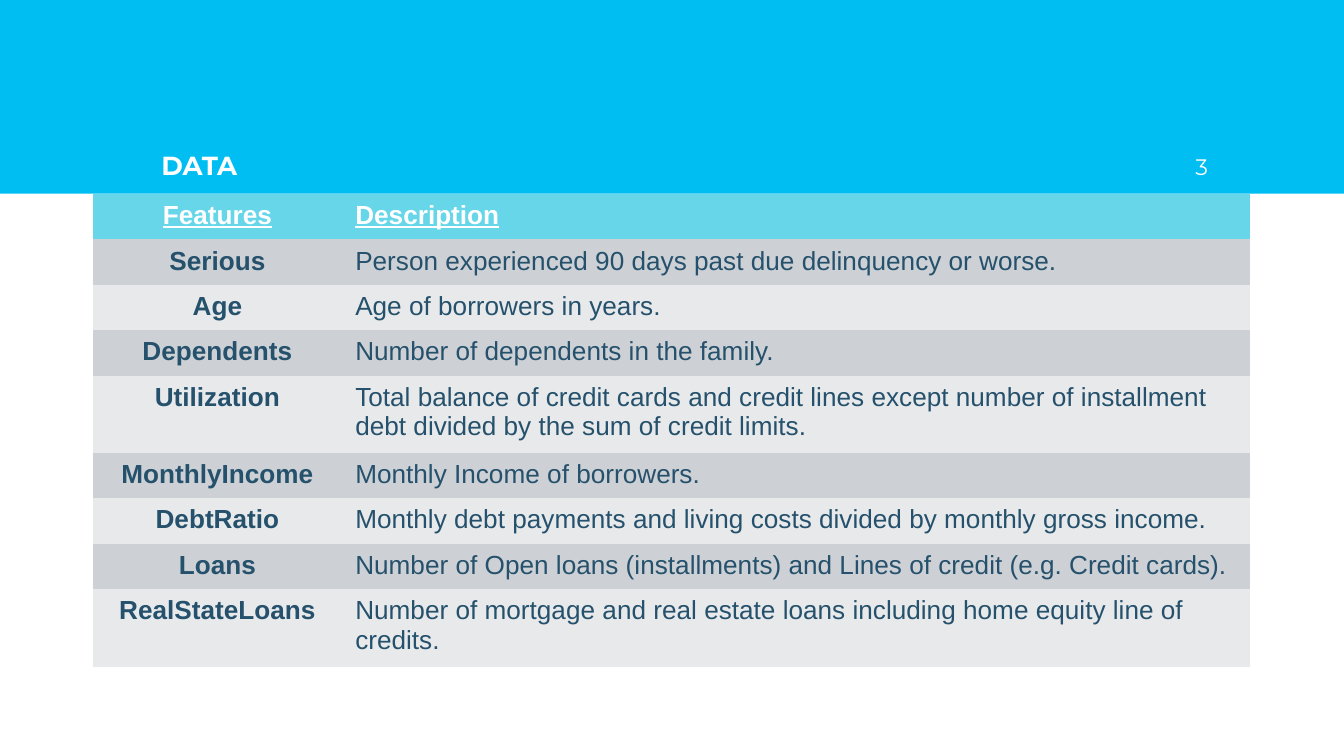
from pptx import Presentation
from pptx.dml.color import RGBColor
from pptx.enum.shapes import MSO_SHAPE
from pptx.enum.text import MSO_ANCHOR, PP_ALIGN
from pptx.oxml.ns import qn
from pptx.util import Cm, Pt

RECTANGLE = MSO_SHAPE.RECTANGLE
TOP, MIDDLE, BOTTOM = MSO_ANCHOR.TOP, MSO_ANCHOR.MIDDLE, MSO_ANCHOR.BOTTOM
LEFT, CENTER, RIGHT = PP_ALIGN.LEFT, PP_ALIGN.CENTER, PP_ALIGN.RIGHT

WHITE = RGBColor(0xFF, 0xFF, 0xFF)
SKY_BLUE = RGBColor(0x00, 0xBE, 0xF2)
HEADER_TEAL = RGBColor(0x67, 0xD6, 0xE9)
NAVY = RGBColor(0x25, 0x51, 0x6C)
BANDS = (RGBColor(0xCD, 0xD0, 0xD4), RGBColor(0xE8, 0xE9, 0xEB))

PLAIN_TABLE_STYLE = "{2D5ABB26-0587-4C30-8999-92F81FD0307C}"
BANNER_HEIGHT = Cm(3.66)
COLUMN_WIDTHS = (Cm(4.7), Cm(17.17))
ONE_LINE, TWO_LINES = Cm(0.86), Cm(1.46)

ROWS = [
    ("Features", "Description", ONE_LINE),
    ("Serious", "Person experienced 90 days past due delinquency or worse.", ONE_LINE),
    ("Age", "Age of borrowers in years.", ONE_LINE),
    ("Dependents", "Number of dependents in the family.", ONE_LINE),
    ("Utilization", "Total balance of credit cards and credit lines except number of "
     "installment debt divided by the sum of credit limits.", TWO_LINES),
    ("MonthlyIncome", "Monthly Income of borrowers.", ONE_LINE),
    ("DebtRatio", "Monthly debt payments and living costs divided by monthly gross income.",
     ONE_LINE),
    ("Loans", "Number of Open loans (installments) and Lines of credit (e.g. Credit cards).",
     ONE_LINE),
    ("RealStateLoans", "Number of mortgage and real estate loans including home equity line "
     "of credits.", TWO_LINES),
]


def write_text(text_frame, text, font_name, size, color, alignment, bold=False, underline=False):
    text_frame.text = text
    paragraph = text_frame.paragraphs[0]
    paragraph.alignment = alignment
    font = paragraph.runs[0].font
    font.name, font.size, font.bold, font.underline = font_name, Pt(size), bold, underline
    font.color.rgb = color


def add_label(slide, left, top, width, height, text, size, alignment, bold=False):
    text_frame = slide.shapes.add_textbox(left, top, width, height).text_frame
    text_frame.word_wrap = True
    text_frame.vertical_anchor = BOTTOM
    text_frame.margin_left = text_frame.margin_right = Cm(0.25)
    text_frame.margin_top = text_frame.margin_bottom = Cm(0.25)
    write_text(text_frame, text, "Montserrat", size, WHITE, alignment, bold)


def add_banner(slide, left, top, width, height):
    # Coloured band
    band = slide.shapes.add_shape(RECTANGLE, left, top, width, height)
    band.shadow.inherit = False
    band.fill.solid()
    band.fill.fore_color.rgb = SKY_BLUE
    band.line.fill.background()

    # Title and slide number stand on the lower edge of the band
    label_height = Cm(1.86)
    label_top = top + height - label_height
    add_label(slide, left + Cm(2.8), label_top, Cm(19.8), label_height, "DATA", 14, LEFT, True)
    add_label(slide, left + Cm(21.56), label_top, Cm(1.52), label_height, "3", 12, RIGHT)


def add_feature_table(slide, left, top, width, height):
    frame = slide.shapes.add_table(len(ROWS), len(COLUMN_WIDTHS), left, top, width, height)
    table = frame.table
    table.first_row = table.horz_banding = False
    frame._element.find(".//" + qn("a:tableStyleId")).text = PLAIN_TABLE_STYLE

    for column, column_width in zip(table.columns, COLUMN_WIDTHS):
        column.width = column_width

    for row_index, (feature, description, row_height) in enumerate(ROWS):
        table.rows[row_index].height = row_height
        is_header = row_index == 0
        fill_color = HEADER_TEAL if is_header else BANDS[(row_index - 1) % 2]
        for column_index, text in enumerate((feature, description)):
            is_feature = column_index == 0
            cell = table.cell(row_index, column_index)
            cell.fill.solid()
            cell.fill.fore_color.rgb = fill_color
            cell.vertical_anchor = MIDDLE if row_index == 1 else TOP
            write_text(cell.text_frame, text, "Arial", 14, WHITE if is_header else NAVY,
                       CENTER if is_feature else LEFT,
                       bold=is_header or is_feature, underline=is_header)


def main():
    presentation = Presentation()
    presentation.slide_width = Cm(25.4)
    presentation.slide_height = Cm(14.29)
    slide = presentation.slides.add_slide(presentation.slide_layouts[6])

    add_banner(slide, 0, 0, presentation.slide_width, BANNER_HEIGHT)
    add_feature_table(slide, Cm(1.76), BANNER_HEIGHT, sum(COLUMN_WIDTHS),
                      sum(row[2] for row in ROWS))
    presentation.save("out.pptx")


if __name__ == "__main__":
    main()
